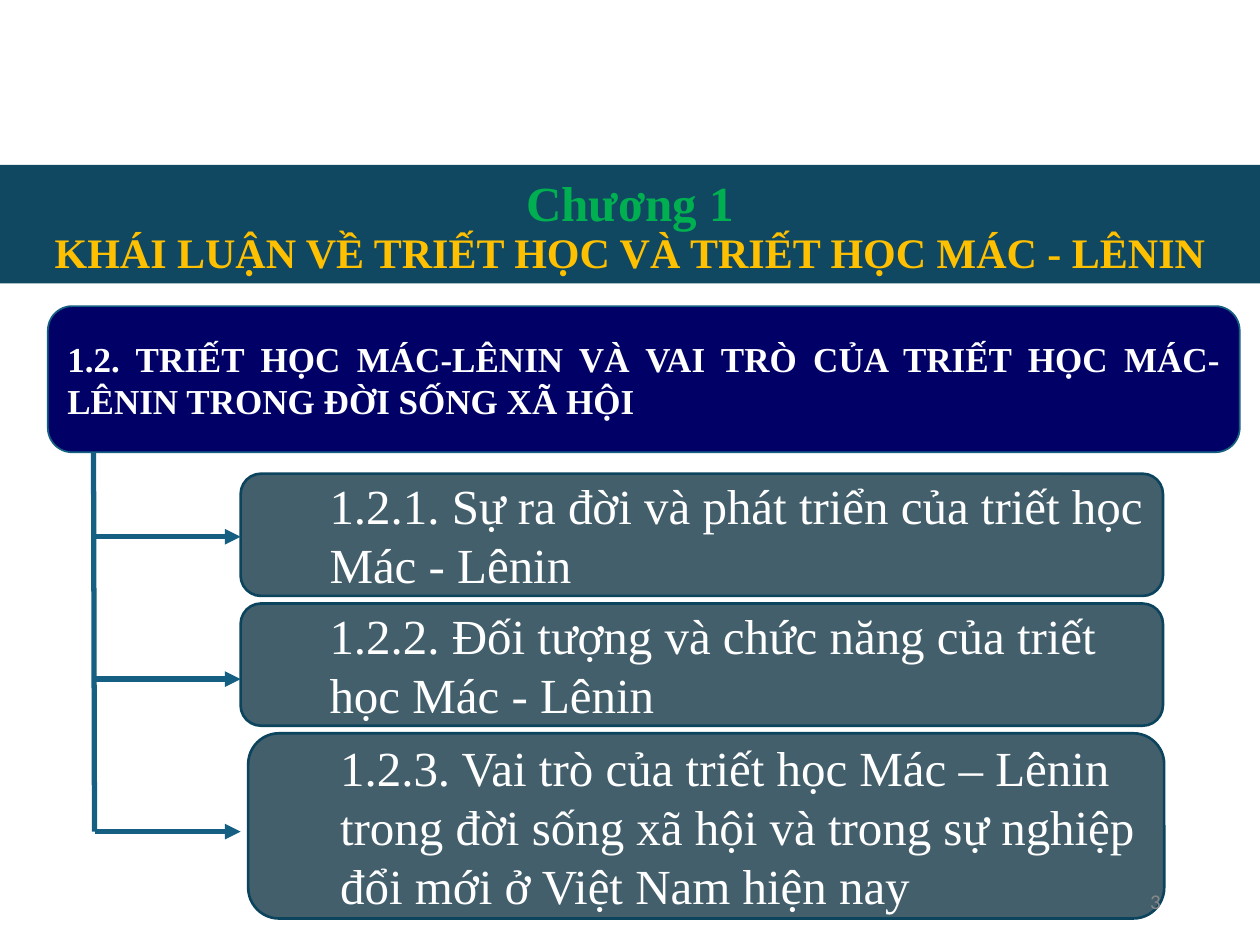
from lxml import etree
from pptx import Presentation
from pptx.dml.color import RGBColor
from pptx.enum.shapes import MSO_CONNECTOR, MSO_SHAPE
from pptx.enum.text import MSO_ANCHOR, PP_ALIGN
from pptx.oxml.ns import qn
from pptx.util import Inches, Pt

RECT, ROUNDED = MSO_SHAPE.RECTANGLE, MSO_SHAPE.ROUNDED_RECTANGLE
STRAIGHT = MSO_CONNECTOR.STRAIGHT
MIDDLE, BOTTOM = MSO_ANCHOR.MIDDLE, MSO_ANCHOR.BOTTOM
LEFT, CENTER, RIGHT, JUSTIFY = (
    PP_ALIGN.LEFT, PP_ALIGN.CENTER, PP_ALIGN.RIGHT, PP_ALIGN.JUSTIFY)

COLORS = {
    "band": "104862", "chapter": "00B050", "title": "FFC000",
    "section": "000066", "tree": "156082", "topic": "0B3041",
    "topic_line": "0C445E", "white": "FFFFFF", "number": "898989",
}
SERIF, SANS = "Times New Roman", "Calibri"

CHAPTER = "Chương 1"
TITLE = "KHÁI LUẬN VỀ TRIẾT HỌC VÀ TRIẾT HỌC MÁC - LÊNIN"
SECTION = ("1.2. TRIẾT HỌC MÁC-LÊNIN VÀ VAI TRÒ CỦA TRIẾT HỌC MÁC-LÊNIN "
           "TRONG ĐỜI SỐNG XÃ HỘI")
# text, box (left, top, width, height), height of the arrow that leads to it
TOPICS = [
    ("1.2.1. Sự ra đời và phát triển của triết học Mác - Lênin",
     (1.91, 3.76, 7.32, 0.97), 4.26),
    ("1.2.2. Đối tượng và chức năng của triết học Mác - Lênin",
     (1.91, 4.79, 7.32, 0.97), 5.39),
    ("1.2.3. Vai trò của triết học Mác – Lênin trong đời sống xã hội "
     "và trong sự nghiệp đổi mới ở Việt Nam hiện nay",
     (1.97, 5.82, 7.27, 1.47), 6.6),
]
PAGE_NUMBER = "3"
TRUNK_X, TRUNK_TOP, ARROW_END = 0.75, 2.64, 1.91


def rgb(name):
    return RGBColor.from_string(COLORS[name])


def add_box(slide, kind, box, fill, line=None, line_width=1, opacity=None):
    shape = slide.shapes.add_shape(kind, *map(Inches, box))
    shape.shadow.inherit = False
    shape.fill.solid()
    shape.fill.fore_color.rgb = rgb(fill)
    if opacity is not None:
        color = shape.fill._xPr.find(qn("a:solidFill"))[0]
        etree.SubElement(color, qn("a:alpha"), val=str(opacity * 1000))
    if line:
        shape.line.color.rgb = rgb(line)
        shape.line.width = Pt(line_width)
    else:
        shape.line.fill.background()
    return shape


def write(shape, text, size, color="white", font=SERIF, bold=False,
          align=LEFT, anchor=MIDDLE, indent=0, spacing=None, new_line=False):
    """Add a run to the shape's paragraph, after a line break if new_line."""
    frame = shape.text_frame
    frame.word_wrap = True
    frame.vertical_anchor = anchor
    paragraph = frame.paragraphs[0]
    paragraph.alignment = align
    if indent:
        properties = paragraph._p.get_or_add_pPr()
        properties.set("marL", str(Inches(indent)))
        properties.set("indent", "0")
    if spacing:
        paragraph.line_spacing = spacing
    if new_line:
        paragraph.add_line_break()
    run = paragraph.add_run()
    run.text = text
    run.font.size = Pt(size)
    run.font.name = font
    run.font.bold = bold
    run.font.color.rgb = rgb(color)


def add_line(slide, start, end, arrow=False):
    line = slide.shapes.add_connector(STRAIGHT, *map(Inches, start + end))
    line.line.color.rgb = rgb("tree")
    line.line.width = Pt(3)
    if arrow:
        etree.SubElement(line.line._get_or_add_ln(), qn("a:tailEnd"),
                         type="triangle")
    etree.SubElement(line._element.spPr, qn("a:effectLst"))


def main():
    deck = Presentation()
    deck.slide_width, deck.slide_height = Inches(10), Inches(7.5)
    slide = deck.slides.add_slide(deck.slide_layouts[6])

    band = add_box(slide, RECT, (0, 1.31, 10, 0.94), "band")
    heading = dict(bold=True, align=CENTER, anchor=BOTTOM, spacing=0.9)
    write(band, CHAPTER, 28, "chapter", **heading)
    write(band, TITLE, 24, "title", new_line=True, **heading)

    for text, box, _ in TOPICS:
        topic = add_box(slide, ROUNDED, box, "topic", "topic_line", 1.5,
                        opacity=77)
        write(topic, text, 28, indent=0.56)

    arrow_heights = [y for _, _, y in TOPICS]
    add_line(slide, (TRUNK_X - 0.01, TRUNK_TOP), (TRUNK_X, arrow_heights[-1]))
    for y in arrow_heights:
        add_line(slide, (TRUNK_X, y), (ARROW_END, y), arrow=True)

    section = add_box(slide, ROUNDED, (0.38, 2.43, 9.46, 1.16), "section",
                      "tree")
    write(section, SECTION, 20, bold=True, align=JUSTIFY)

    number = slide.shapes.add_textbox(*map(Inches, (7.06, 6.95, 2.25, 0.4)))
    write(number, PAGE_NUMBER, 12, "number", SANS, align=RIGHT)

    deck.save("out.pptx")


if __name__ == "__main__":
    main()
